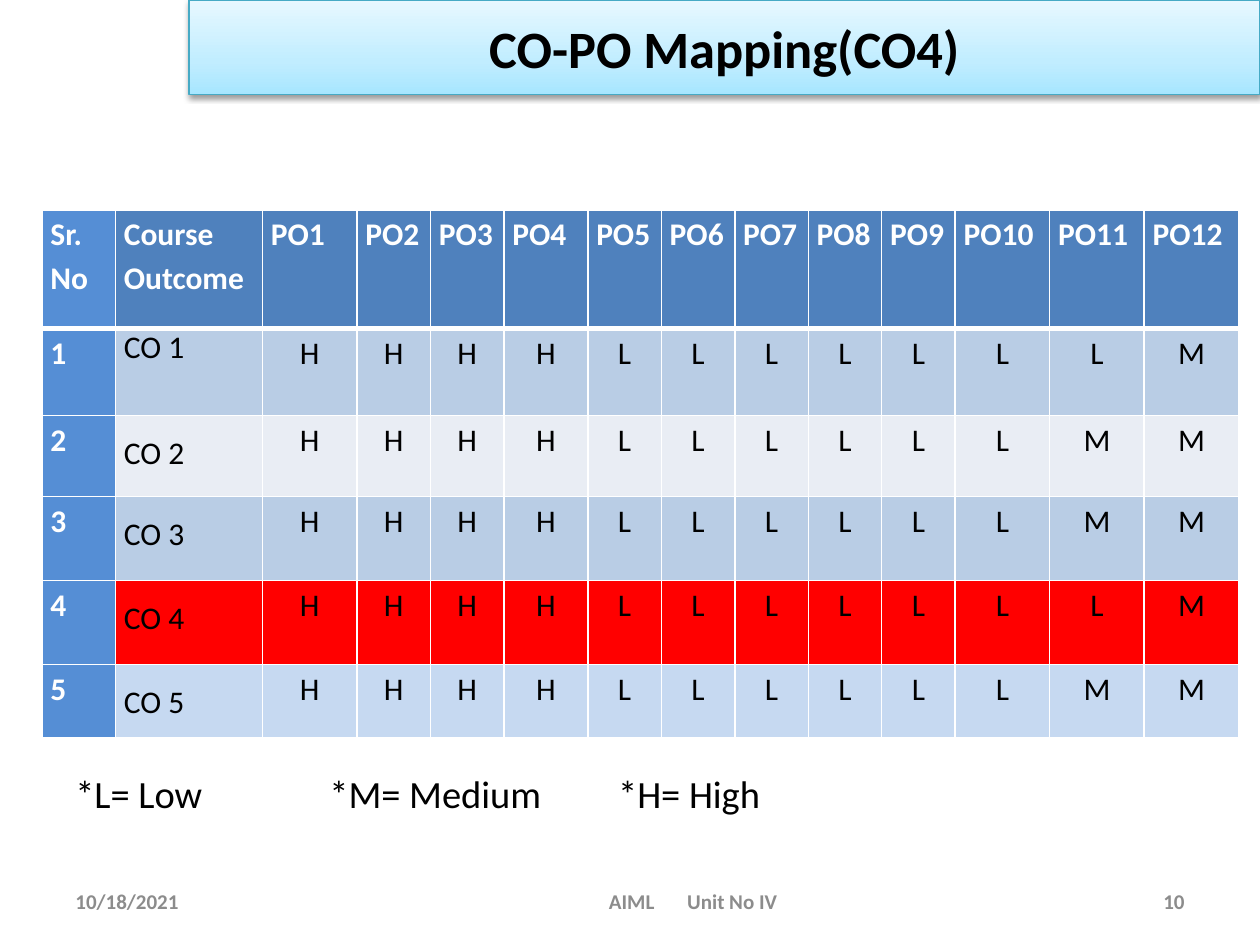
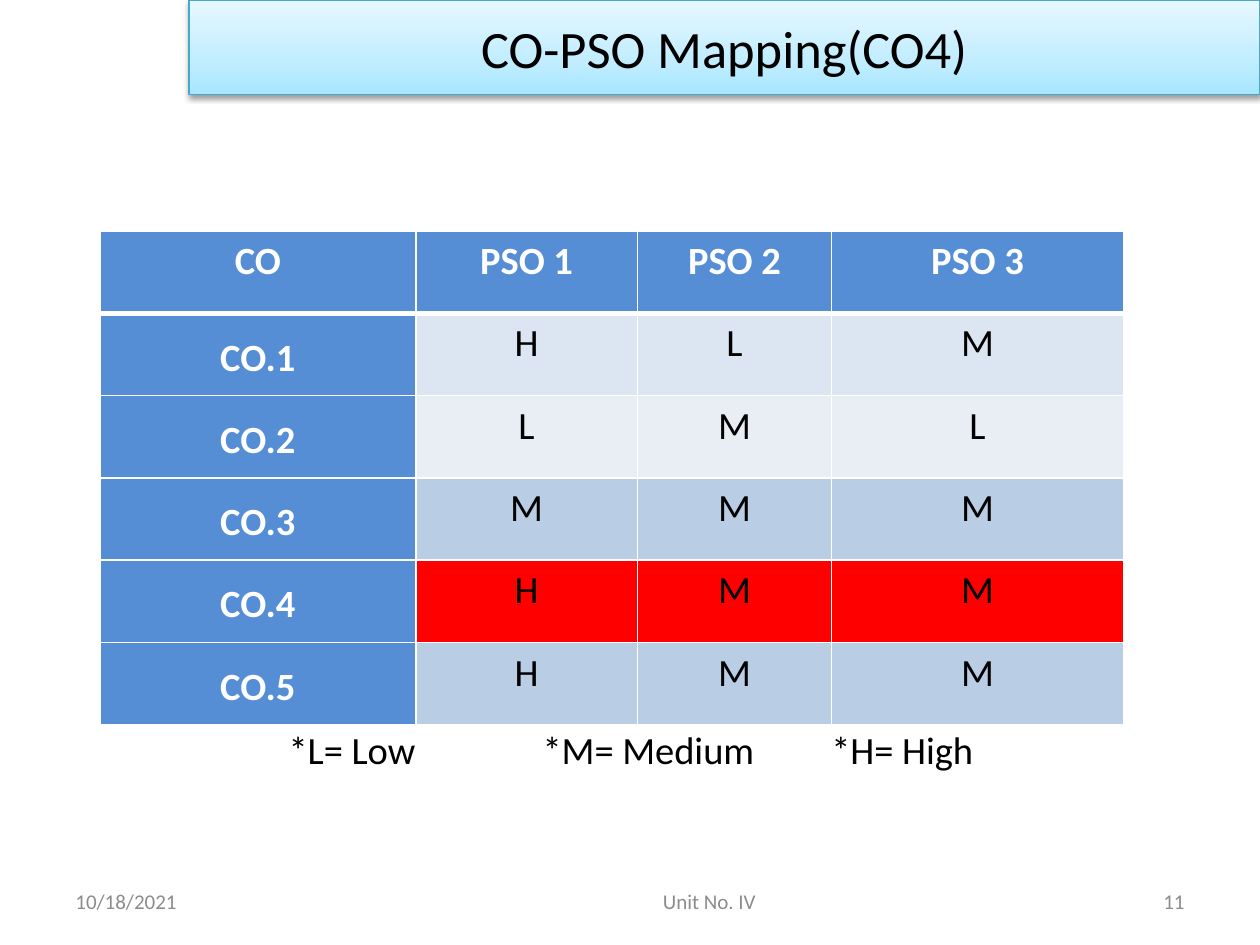
import pptx
import pptx.util
import pptx.dml.color
import pptx.enum.shapes
import pptx.enum.text
import pptx.oxml
import pptx.oxml.ns

FONT = "Calibri"
C = {
    "ink": "000000", "white": "FFFFFF", "footer": "8C8C8C",
    "band_line": "46AAC5", "band_low": "A7E6FF", "band_mid": "C1EDFF", "band_high": "E7F8FF",
    "header": "4F81BD", "key": "558ED5", "row": "B9CDE5", "pale": "E9EDF4",
    "ice": "DCE6F2", "sky": "C6D9F1", "current": "FF0000",
}
COLUMNS, ROWS = 120, 90
NS = pptx.oxml.ns.nsdecls("a")
qn = pptx.oxml.ns.qn
ALIGN = pptx.enum.text.PP_ALIGN
ANCHOR = pptx.enum.text.MSO_ANCHOR


def grid(n):
    return pptx.util.Emu(round(n * pptx.util.Inches(10) / COLUMNS))


def rgb(name):
    return pptx.dml.color.RGBColor.from_string(C[name])


def add_run(p, text, size, color, bold=False):
    r = p.add_run()
    r.text = text
    r.font.name = FONT
    r.font.size = pptx.util.Pt(size)
    r.font.bold = bold
    r.font.color.rgb = rgb(color)


def add_tabs(p, stops):
    tabs = "".join(f'<a:tab pos="{grid(n)}" algn="l"/>' for n in stops)
    p._p.get_or_add_pPr().append(pptx.oxml.parse_xml(f"<a:tabLst {NS}>{tabs}</a:tabLst>"))


def text_box(s, box, text, size, color, align=ALIGN.LEFT, bold=False, inset=1.2, tabs=()):
    tf = s.shapes.add_textbox(*map(grid, box)).text_frame
    tf.word_wrap = True
    tf.vertical_anchor = ANCHOR.MIDDLE
    tf.margin_left = grid(inset)
    p = tf.paragraphs[0]
    p.alignment = align
    if tabs:
        add_tabs(p, tabs)
    add_run(p, text, size, color, bold)


def title_band(s, text, bold):
    sp = s.shapes.add_shape(pptx.enum.shapes.MSO_SHAPE.RECTANGLE, *map(grid, (18, 0, 102, 9)))
    sp.line.color.rgb = rgb("band_line")
    sp.line.width = pptx.util.Pt(0.75)
    sp.shadow.inherit = False
    spPr = sp.element.spPr
    stops = "".join(
        f'<a:gs pos="{pos * 1000}"><a:srgbClr val="{C[name]}"/></a:gs>'
        for pos, name in ((0, "band_low"), (35, "band_mid"), (100, "band_high")))
    spPr.find(qn("a:ln")).addprevious(pptx.oxml.parse_xml(
        f'<a:gradFill {NS} rotWithShape="1"><a:gsLst>{stops}</a:gsLst>'
        '<a:lin ang="16200000" scaled="0"/></a:gradFill>'))
    spPr.find(qn("a:effectLst")).append(pptx.oxml.parse_xml(
        f'<a:outerShdw {NS} blurRad="40000" dist="20000" dir="5400000" rotWithShape="0">'
        f'<a:srgbClr val="{C["ink"]}"><a:alpha val="38000"/></a:srgbClr></a:outerShdw>'))
    tf = sp.text_frame
    tf.vertical_anchor = ANCHOR.MIDDLE
    p = tf.paragraphs[0]
    p.alignment = ALIGN.CENTER
    add_run(p, text, 30, "ink", bold)


def footer(s, unit, number, bold, **unit_style):
    top, height = 83.4, 4.8
    text_box(s, (6, top, 28, height), "10/18/2021", 12, "footer", bold=bold)
    text_box(s, (33, top, 66, height), unit, 12, "footer", bold=bold, **unit_style)
    text_box(s, (86, top, 28, height), number, 12, "footer", ALIGN.RIGHT, bold)


def legend(s, left, top):
    text_box(s, (left, top, 72, 5), "*L= Low\t*M= Medium\t*H= High", 22, "ink", tabs=(24.2, 51.7))


def add_borders(cell, row):
    widths = {"L": 1, "R": 1, "T": 3 if row == 1 else 1, "B": 3 if row == 0 else 1}
    tcPr = cell._tc.get_or_add_tcPr()
    for side, width in widths.items():
        tcPr.append(pptx.oxml.parse_xml(
            f'<a:ln{side} {NS} w="{pptx.util.Pt(width)}"><a:solidFill>'
            f'<a:srgbClr val="{C["white"]}"/></a:solidFill></a:ln{side}>'))


def fill_cell(cell, row, text, fill, size, strong, align, spacing, anchor):
    add_borders(cell, row)
    cell.fill.solid()
    cell.fill.fore_color.rgb = rgb(fill)
    cell.margin_left = cell.margin_right = grid(0.8)
    cell.margin_top = cell.margin_bottom = 0
    cell.vertical_anchor = anchor
    p = cell.text_frame.paragraphs[0]
    p.alignment = align
    p.line_spacing = spacing
    add_run(p, text, size, "white" if strong else "ink", strong)


def mapping_table(s, left, top, widths, heights, rows, size, header_fill, row_fills, style):
    frame = s.shapes.add_table(len(rows), len(widths), grid(left), grid(top),
                               grid(sum(widths)), grid(sum(heights)))
    table = frame.table
    table.horz_banding = False
    for column, width in zip(table.columns, widths):
        column.width = grid(width)
    for row, height in zip(table.rows, heights):
        row.height = grid(height)
    for i, texts in enumerate(rows):
        for j, text in enumerate(texts):
            fill = "key" if j == 0 else header_fill if i == 0 else row_fills[i - 1]
            fill_cell(table.cell(i, j), i, text, fill, size, i == 0 or j == 0, *style(i, j))


def po_style(i, j):
    if i and j == 1:
        return (ALIGN.LEFT, 1.0, ANCHOR.TOP) if i == 1 else (ALIGN.JUSTIFY, 1.5, ANCHOR.TOP)
    return ALIGN.CENTER if i and j else ALIGN.LEFT, 1.15, ANCHOR.TOP


def pso_style(i, j):
    return ALIGN.CENTER, 1.15, ANCHOR.MIDDLE if i and j == 0 else ANCHOR.TOP


def po_slide(prs):
    s = prs.slides.add_slide(prs.slide_layouts[6])
    footer(s, "AIML\tUnit No IV", "10", True, inset=25, tabs=(7.45,))
    title_band(s, "CO-PO Mapping(CO4)", True)
    legend(s, 6, 73)
    levels = ["HHHHLLLLLLLM", "HHHHLLLLLLMM", "HHHHLLLLLLMM", "HHHHLLLLLLLM", "HHHHLLLLLLMM"]
    rows = [["Sr. No", "Course Outcome"] + [f"PO{n}" for n in range(1, 13)]]
    rows += [[str(n), f"CO {n}", *marks] for n, marks in enumerate(levels, 1)]
    mapping_table(s, 4, 20, [7, 14, 9, 7, 7, 8] + [7] * 5 + [9] * 3,
                  [11.3, 8.3, 7.7, 8, 8, 7], rows, 18, "header",
                  ["row", "pale", "row", "current", "sky"], po_style)


def pso_slide(prs):
    s = prs.slides.add_slide(prs.slide_layouts[6])
    footer(s, "Unit No. IV", "11", False, align=ALIGN.CENTER, inset=4.3)
    title_band(s, "CO-PSO Mapping(CO4)", False)
    legend(s, 26.3, 68.8)
    levels = ["HLM", "LML", "MMM", "HMM", "HMM"]
    rows = [["CO"] + [f"PSO {n}" for n in range(1, 4)]]
    rows += [[f"CO.{n}", *marks] for n, marks in enumerate(levels, 1)]
    mapping_table(s, 9.5, 22, [30.1, 21.1, 18.5, 27.8], [7.84] * 6, rows, 22, "key",
                  ["ice", "pale", "row", "current", "row"], pso_style)


def main():
    prs = pptx.Presentation()
    prs.slide_width = grid(COLUMNS)
    prs.slide_height = grid(ROWS)
    po_slide(prs)
    pso_slide(prs)
    prs.save("out.pptx")


if __name__ == "__main__":
    main()
